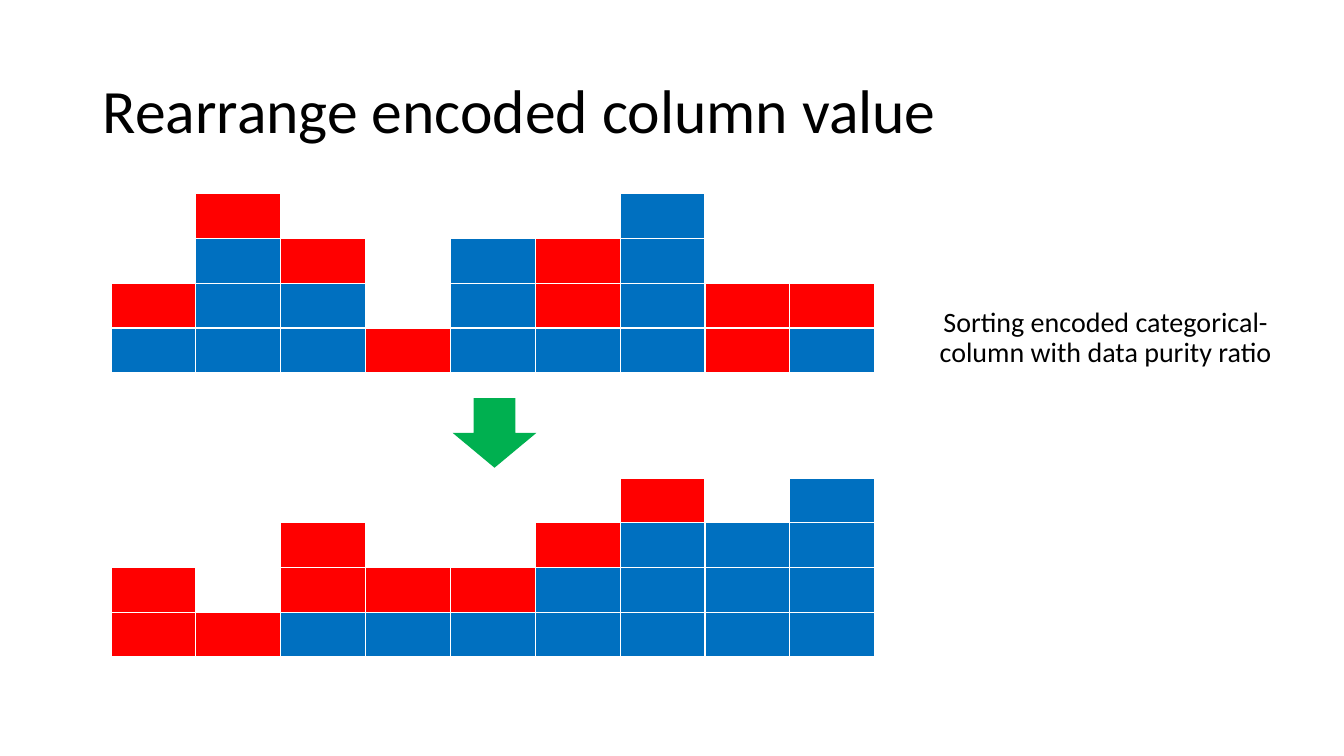
"""Build a slide comparing an encoded column before and after sorting."""
from pptx import Presentation
from pptx.dml.color import RGBColor
from pptx.enum.shapes import MSO_SHAPE as SHAPE
from pptx.enum.text import MSO_ANCHOR as ANCHOR, MSO_AUTO_SIZE as AUTO, PP_ALIGN as ALIGN
from pptx.oxml.ns import qn
from pptx.util import Emu, Pt


def px(*lengths):
    return [Emu(n * 9144) for n in lengths]


def rgb(value):
    return RGBColor.from_string(value)


prs = Presentation()
prs.slide_width, prs.slide_height = px(1333, 750)
s = prs.slides.add_slide(prs.slide_layouts[1])

COLOURS = {"R": "FF0000", "B": "0070C0", ".": "FFFFFF"}
GRIDS = [
    (430, ["..........",
           "......R.B.",
           "..R..RBBB.",
           "R.RRRBBBB.",
           "RRBBBBBBB."]),
    (148, ["..........",
           ".R....B...",
           ".BR.BRB...",
           "RBB.BRBRR.",
           "BBBRBBBRB."]),
]
for top, grid in GRIDS:
    table = s.shapes.add_table(5, 10, *px(110, top, 842, 222)).table
    for r, row in enumerate(grid):
        for c, mark in enumerate(row):
            fill = table.cell(r, c).fill
            fill.solid()
            fill.fore_color.rgb = rgb(COLOURS[mark])

TEXTS = [
    (s.shapes.title, (92, 40, 1150, 145), "Rearrange encoded column value", 44, ANCHOR.MIDDLE,
     {"alignment": ALIGN.LEFT, "line_spacing": 0.9, "space_before": Pt(0)}),
    (s.placeholders[1], (894, 301, 405, 351),
     "Sorting encoded categorical-column with data purity ratio", 20, ANCHOR.TOP,
     {"alignment": ALIGN.CENTER, "line_spacing": 0.9, "space_before": Pt(10)}),
]
for sp, box, text, size, anchor, formats in TEXTS:
    sp.left, sp.top, sp.width, sp.height = px(*box)
    tf = sp.text_frame
    tf.text = text
    tf.word_wrap = True
    tf.auto_size = AUTO.NONE
    tf.vertical_anchor = anchor
    p = tf.paragraphs[0]
    for name, value in formats.items():
        setattr(p, name, value)
    font = p.runs[0].font
    font.name, font.size = "Calibri", Pt(size)
    font.color.rgb = rgb("000000")
    pPr = p.runs[0].font._element.getparent().getparent().get_or_add_pPr()
    pPr.set("marL", "0")
    pPr.set("indent", "0")
    pPr.append(pPr.makeelement(qn("a:buNone"), {}))
    sp.element.getparent().append(sp.element)

arrow = s.shapes.add_shape(SHAPE.DOWN_ARROW, *px(449, 395, 83, 69))
arrow.shadow.inherit = False
arrow.fill.solid()
arrow.fill.fore_color.rgb = rgb("00B050")
arrow.line.fill.background()

prs.save("out.pptx")
